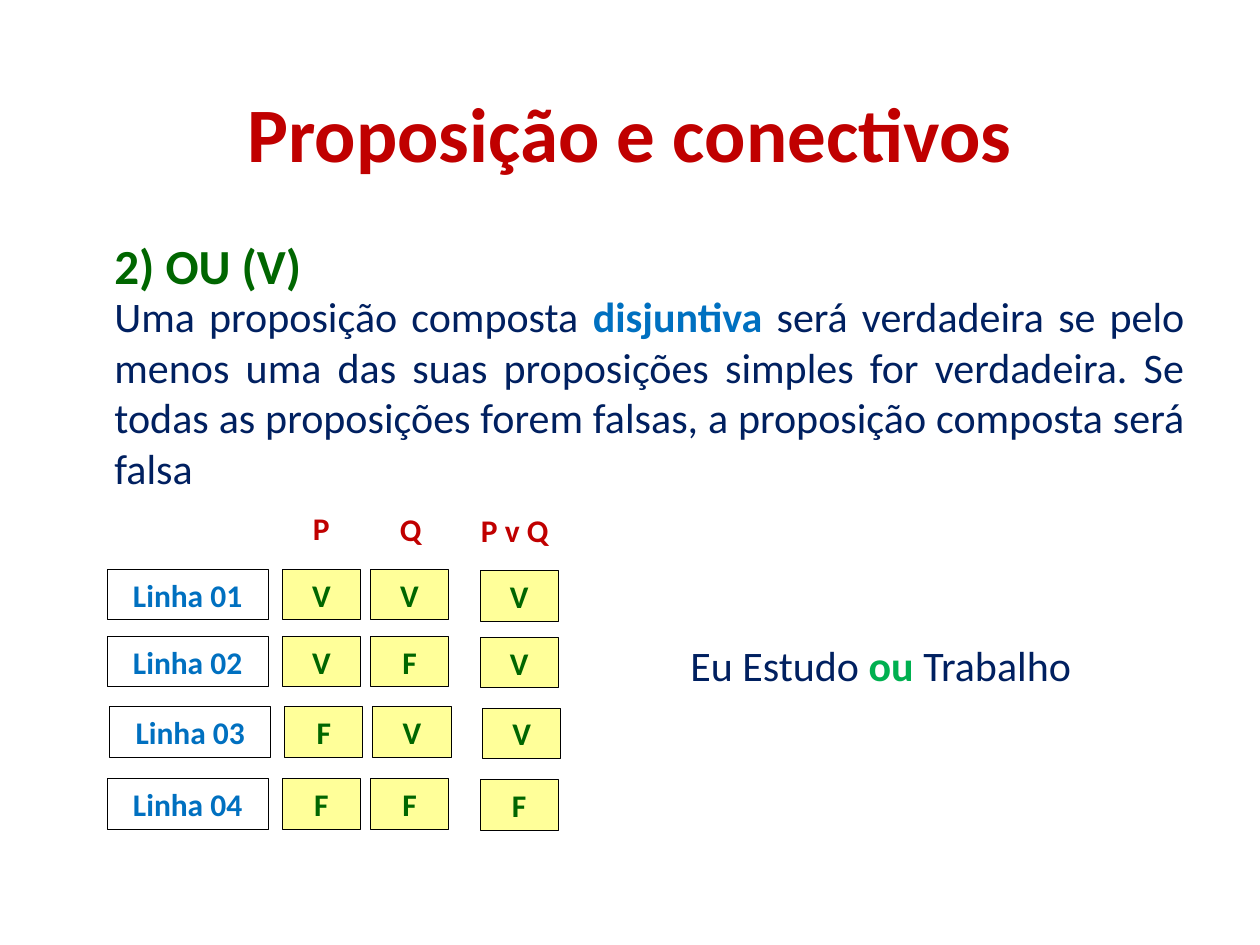
from pptx import Presentation
from pptx.dml.color import RGBColor
from pptx.enum.shapes import MSO_SHAPE
from pptx.enum.text import MSO_ANCHOR, PP_ALIGN
from pptx.util import Inches, Pt

RECT = MSO_SHAPE.RECTANGLE
TOP, MIDDLE = MSO_ANCHOR.TOP, MSO_ANCHOR.MIDDLE
LEFT, CENTER, JUSTIFY = PP_ALIGN.LEFT, PP_ALIGN.CENTER, PP_ALIGN.JUSTIFY

COLORS = {
    "red": "C00000", "green": "006600", "navy": "002060", "blue": "0070C0",
    "lime": "00B050", "yellow": "FFFF99", "black": "000000",
}

# box (left, top, width, height), size, alignment, anchor, runs (text, color, bold)
TEXTS = [
    ((0.5, 0.54, 9, 1.01), 44, CENTER, MIDDLE,
     [("Proposição e conectivos", "red", True)]),
    ((0.81, 1.82, 5.21, 0.61), 28, JUSTIFY, TOP,
     [("2) OU (V)", "green", True)]),
    ((0.81, 2.26, 8.69, 0.57), 24, JUSTIFY, TOP,
     [("Uma proposição composta ", "navy", False),
      ("disjuntiva ", "blue", True),
      ("será verdadeira se pelo menos uma das suas proposições simples for "
       "verdadeira. Se todas as proposições forem falsas, a proposição "
       "composta será falsa", "navy", False)]),
    ((5.38, 5.03, 3.72, 0.57), 24, LEFT, TOP,
     [("Eu Estudo ", "navy", False), ("ou ", "lime", True),
      ("Trabalho", "navy", False)]),
]

# head, head left, head width, cell left, drop below the row's top
COLUMNS = [
    ("P", 2.38, 0.34, 2.24, 0),
    ("Q", 3.07, 0.38, 2.94, 0),
    ("P v Q", 3.71, 0.75, 3.81, 0.01),
]
# label, values, top, shift to the right
ROWS = [
    ("Linha 01", "VVV", 4.52, 0),
    ("Linha 02", "VFV", 5.05, 0),
    ("Linha 03", "FVV", 5.61, 0.02),
    ("Linha 04", "FFF", 6.18, 0),
]
HEAD_TOP = 4
LABEL_LEFT, LABEL_WIDTH = 0.85, 1.28
CELL_WIDTH, HEIGHT = 0.62, 0.4


def rgb(name):
    return RGBColor.from_string(COLORS[name])


def write(shape, runs, size, align, anchor, wrap=True):
    frame = shape.text_frame
    frame.word_wrap = wrap
    frame.vertical_anchor = anchor
    par = frame.paragraphs[0]
    par.alignment = align
    for text, color, bold in runs:
        run = par.add_run()
        run.text = text
        style = {"name": "Calibri", "size": Pt(size), "bold": bold}
        for key, value in style.items():
            setattr(run.font, key, value)
        run.font.color.rgb = rgb(color)


def add_text(slide, box, runs, size, align, anchor, wrap=True):
    shape = slide.shapes.add_textbox(*map(Inches, box))
    write(shape, runs, size, align, anchor, wrap)


def add_cell(slide, box, text, color, fill=None):
    shape = slide.shapes.add_shape(RECT, *map(Inches, box))
    shape.shadow.inherit = False
    if fill:
        shape.fill.solid()
        shape.fill.fore_color.rgb = rgb(fill)
    else:
        shape.fill.background()
    shape.line.color.rgb = rgb("black")
    shape.line.width = Pt(0.5)
    write(shape, [(text, color, True)], 18, CENTER, MIDDLE)


def add_truth_table(slide):
    for i, (head, left, width, _, _) in enumerate(COLUMNS):
        box = (left, HEAD_TOP + 0.01 * (i - 1), width, HEIGHT)
        add_text(slide, box, [(head, "red", True)], 18, CENTER, TOP, False)
    for label, values, top, shift in ROWS:
        box = (LABEL_LEFT + shift, top, LABEL_WIDTH, HEIGHT)
        add_cell(slide, box, label, "blue")
        for value, (_, _, _, left, drop) in zip(values, COLUMNS):
            box = (left + shift, top + drop, CELL_WIDTH, HEIGHT)
            add_cell(slide, box, value, "green", "yellow")


def main():
    deck = Presentation()
    deck.slide_width, deck.slide_height = Inches(10), Inches(7.5)
    slide = deck.slides.add_slide(deck.slide_layouts[6])
    for box, size, align, anchor, runs in TEXTS:
        add_text(slide, box, runs, size, align, anchor)
    add_truth_table(slide)
    deck.save("out.pptx")


if __name__ == "__main__":
    main()
